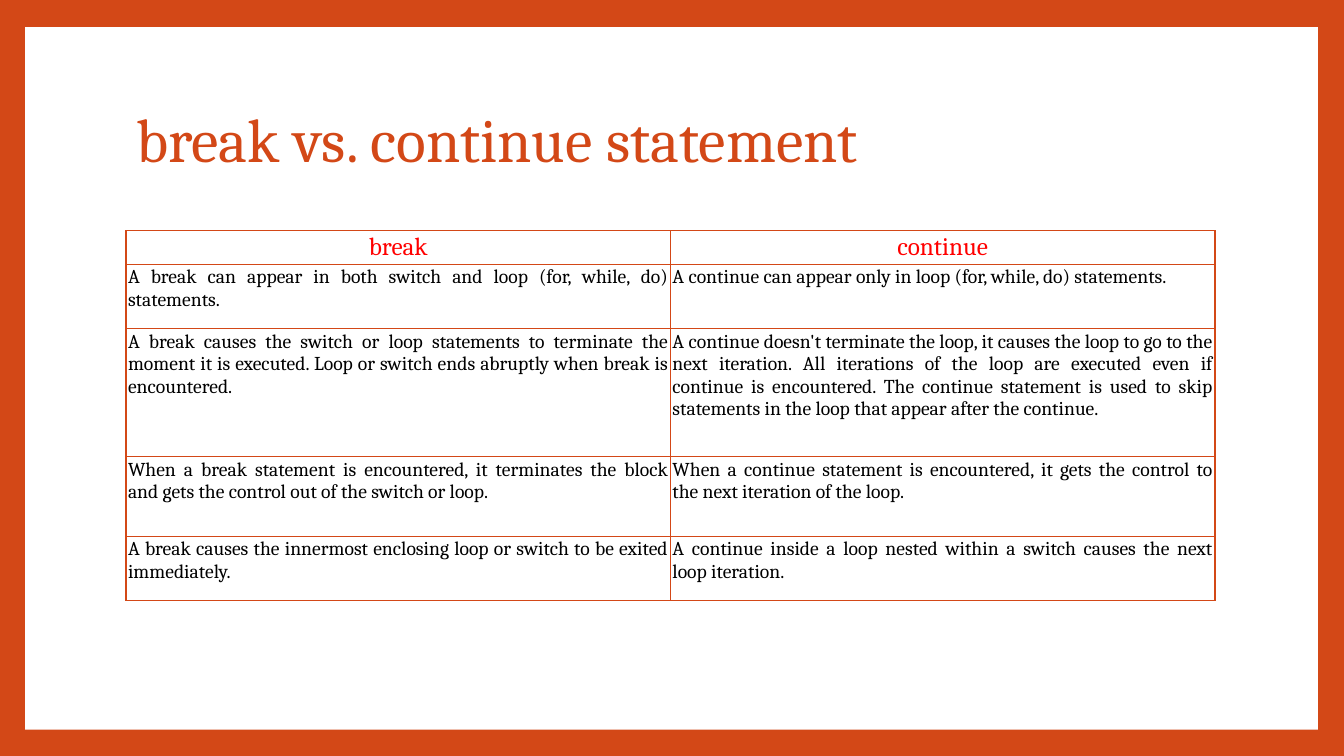
from pptx import Presentation
from pptx.dml.color import RGBColor
from pptx.enum.shapes import MSO_SHAPE as Shape
from pptx.enum.text import MSO_ANCHOR as Anchor, PP_ALIGN as Align
from pptx.oxml import parse_xml
from pptx.oxml.ns import nsdecls
from pptx.util import Inches, Pt

# Content
TITLE = "break vs. continue statement"
HEADS = ("break", "continue")
ROWS = [
    ("A break can appear in both switch and loop (for, while, do) statements.",
     "A continue can appear only in loop (for, while, do) statements."),
    ("A break causes the switch or loop statements to terminate the moment it is "
     "executed. Loop or switch ends abruptly when break is encountered.",
     "A continue doesn't terminate the loop, it causes the loop to go to the next "
     "iteration. All iterations of the loop are executed even if continue is "
     "encountered. The continue statement is used to skip statements in the loop "
     "that appear after the continue."),
    ("When a break statement is encountered, it terminates the block and gets the "
     "control out of the switch or loop.",
     "When a continue statement is encountered, it gets the control to the next "
     "iteration of the loop."),
    ("A break causes the innermost enclosing loop or switch to be exited immediately.",
     "A continue inside a loop nested within a switch causes the next loop iteration."),
]
COLORS = {"rust": "D34817", "white": "FFFFFF", "red": "FF0000", "black": "000000"}
FONT = "Cambria"
LEFT, WIDTH = 1.25, 10.8
TOP = 2.29
HEIGHTS = (0.33, 0.64, 1.27, 0.79, 0.64)
PAD = Inches(0.02)


def color(name):
    return RGBColor.from_string(COLORS[name])


def write(frame, text, size, tint, align=Align.LEFT, spacing=None):
    para = frame.paragraphs[0]
    para.alignment = align
    if spacing:
        para.line_spacing = spacing
    run = para.add_run()
    run.text = text
    run.font.name = FONT
    run.font.size = Pt(size)
    run.font.color.rgb = color(tint)


def border(cell):
    props = cell._tc.get_or_add_tcPr()
    for i, side in enumerate(("lnL", "lnR", "lnT", "lnB")):
        props.insert(i, parse_xml(
            f'<a:{side} {nsdecls("a")} w="{Pt(1)}"><a:solidFill>'
            f'<a:srgbClr val="{COLORS["rust"]}"/></a:solidFill></a:{side}>'))


prs = Presentation()
prs.slide_width, prs.slide_height = Inches(13.33), Inches(7.5)
slide = prs.slides.add_slide(prs.slide_layouts[5])

# Rust frame around a white panel
back = slide.background.fill
back.solid()
back.fore_color.rgb = color("rust")
panel = slide.shapes.add_shape(
    Shape.RECTANGLE, Inches(0.25), Inches(0.27), Inches(12.82), Inches(6.97))
panel.shadow.inherit = False
panel.fill.solid()
panel.fill.fore_color.rgb = color("white")
panel.line.fill.background()
slide.shapes._spTree.insert(2, panel._element)

# Title
title = slide.shapes.title
title.left, title.top = Inches(LEFT), Inches(0.67)
title.width, title.height = Inches(WIDTH), Inches(1.48)
title.text_frame.vertical_anchor = Anchor.MIDDLE
write(title.text_frame, TITLE, 44, "rust", spacing=0.9)

# Comparison table
grid = [HEADS, *ROWS]
table = slide.shapes.add_table(
    len(grid), len(HEADS), Inches(LEFT), Inches(TOP),
    Inches(WIDTH), Inches(sum(HEIGHTS))).table
table.first_row = table.horz_banding = False
for r, texts in enumerate(grid):
    table.rows[r].height = Inches(HEIGHTS[r])
    for c, text in enumerate(texts):
        cell = table.cell(r, c)
        cell.margin_left = cell.margin_right = PAD
        cell.margin_top = cell.margin_bottom = PAD
        cell.fill.background()
        border(cell)
        if r == 0:
            write(cell.text_frame, text, 18, "red", align=Align.CENTER)
        else:
            write(cell.text_frame, text, 14, "black", align=Align.JUSTIFY)

prs.save("out.pptx")
